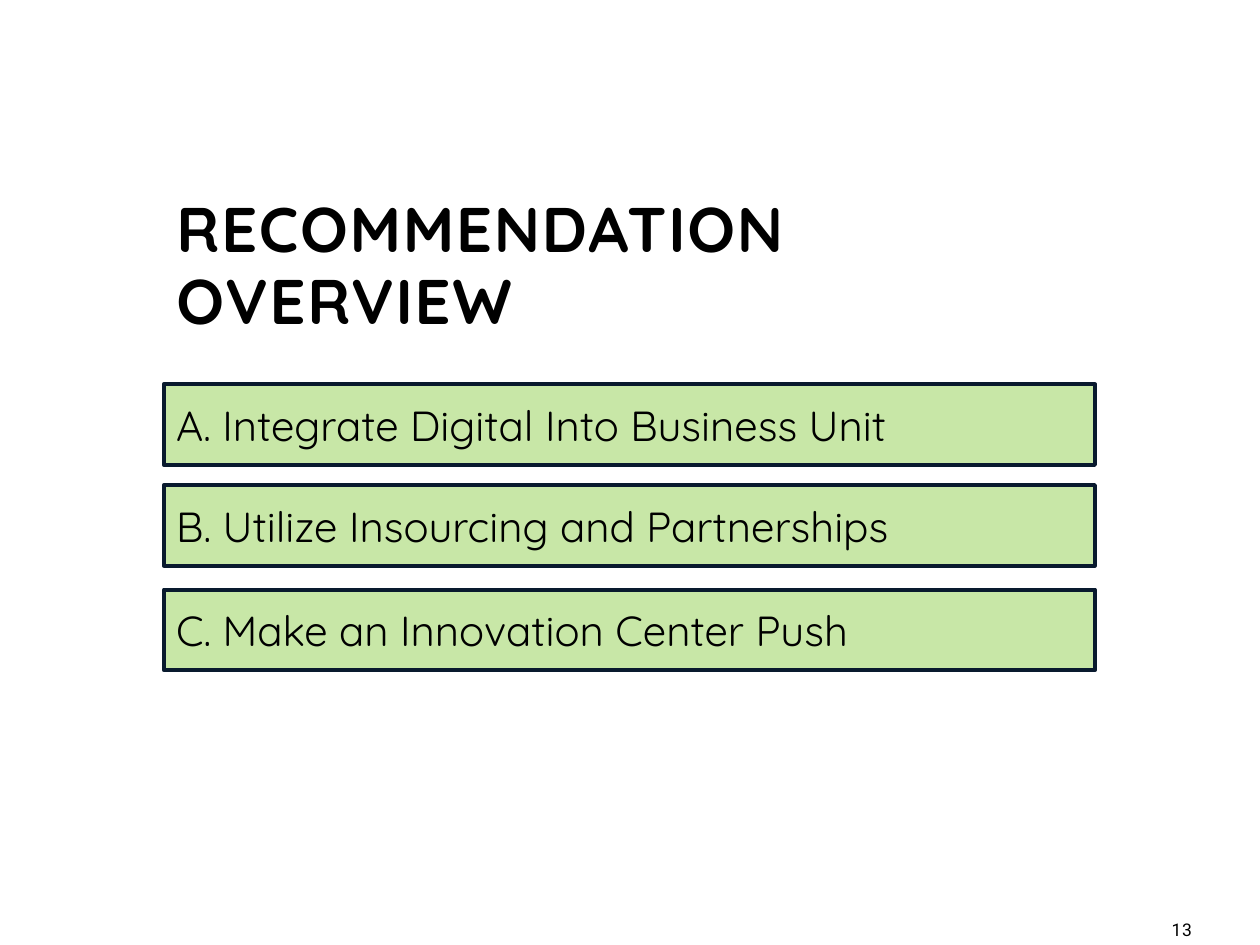
from lxml import etree
from pptx import Presentation
from pptx import util as u
from pptx.dml.color import RGBColor
from pptx.enum import shapes, text
from pptx.oxml.ns import qn

RECOMMENDATIONS = [
    (3.05, "A. Integrate Digital Into Business Unit"),
    (3.85, "B. Utilize Insourcing and Partnerships"),
    (4.68, "C. Make an Innovation Center Push"),
]
LEFT = 1.3


def colour(value):
    return RGBColor.from_string(value)


def write(box, words, size, font="Quicksand", bold=False, spacing=0, line_spacing=None,
          align=text.PP_ALIGN.LEFT, anchor=text.MSO_ANCHOR.MIDDLE, margin=0.1):
    frame = box.text_frame
    frame.word_wrap = True
    frame.auto_size = text.MSO_AUTO_SIZE.NONE
    frame.vertical_anchor = anchor
    frame.margin_left = frame.margin_right = u.Inches(margin)
    frame.margin_top = frame.margin_bottom = u.Inches(margin / 2)
    para = frame.paragraphs[0]
    para.alignment = align
    para.line_spacing = line_spacing
    span = para.add_run()
    span.text = words
    span.font.name = font
    span.font.size = u.Pt(size)
    span.font.bold = bold
    span.font.color.rgb = colour("000000")
    if spacing:
        span.font._element.set("spc", str(int(spacing * 100)))


def add_title(page, words):
    box = page.shapes.title
    box.left, box.top = u.Inches(LEFT), u.Inches(1.5)
    box.width, box.height = u.Inches(7.09), u.Inches(0.7)
    write(box, words, 36, bold=True, spacing=1, line_spacing=0.95,
          anchor=text.MSO_ANCHOR.TOP)


def add_bar(page, top, words):
    bar = page.shapes.add_shape(shapes.MSO_SHAPE.RECTANGLE, u.Inches(LEFT), u.Inches(top),
                                u.Inches(7.39), u.Inches(0.64))
    bar.shadow.inherit = False
    bar.fill.solid()
    bar.fill.fore_color.rgb = colour("92D050")
    tint = bar._element.spPr.find(qn("a:solidFill")).find(qn("a:srgbClr"))
    etree.SubElement(tint, qn("a:alpha")).set("val", "50000")
    bar.line.color.rgb = colour("091A2E")
    bar.line.width = u.Pt(2.25)
    write(bar, words, 24)


def add_page_number(page, number):
    box = page.shapes.add_textbox(u.Inches(9.16), u.Inches(7.25), u.Inches(0.44), u.Inches(0.25))
    write(box, number, 10, font="Roboto", spacing=0.5, align=text.PP_ALIGN.CENTER, margin=0)


def main():
    deck = Presentation()
    deck.slide_width, deck.slide_height = u.Inches(10), u.Inches(7.5)
    page = deck.slides.add_slide(deck.slide_layouts[5])
    page.background.fill.solid()
    page.background.fill.fore_color.rgb = colour("FFFFFF")
    add_title(page, "RECOMMENDATION OVERVIEW")
    for top, words in RECOMMENDATIONS:
        add_bar(page, top, words)
    add_page_number(page, "13")
    deck.save("out.pptx")


if __name__ == "__main__":
    main()
